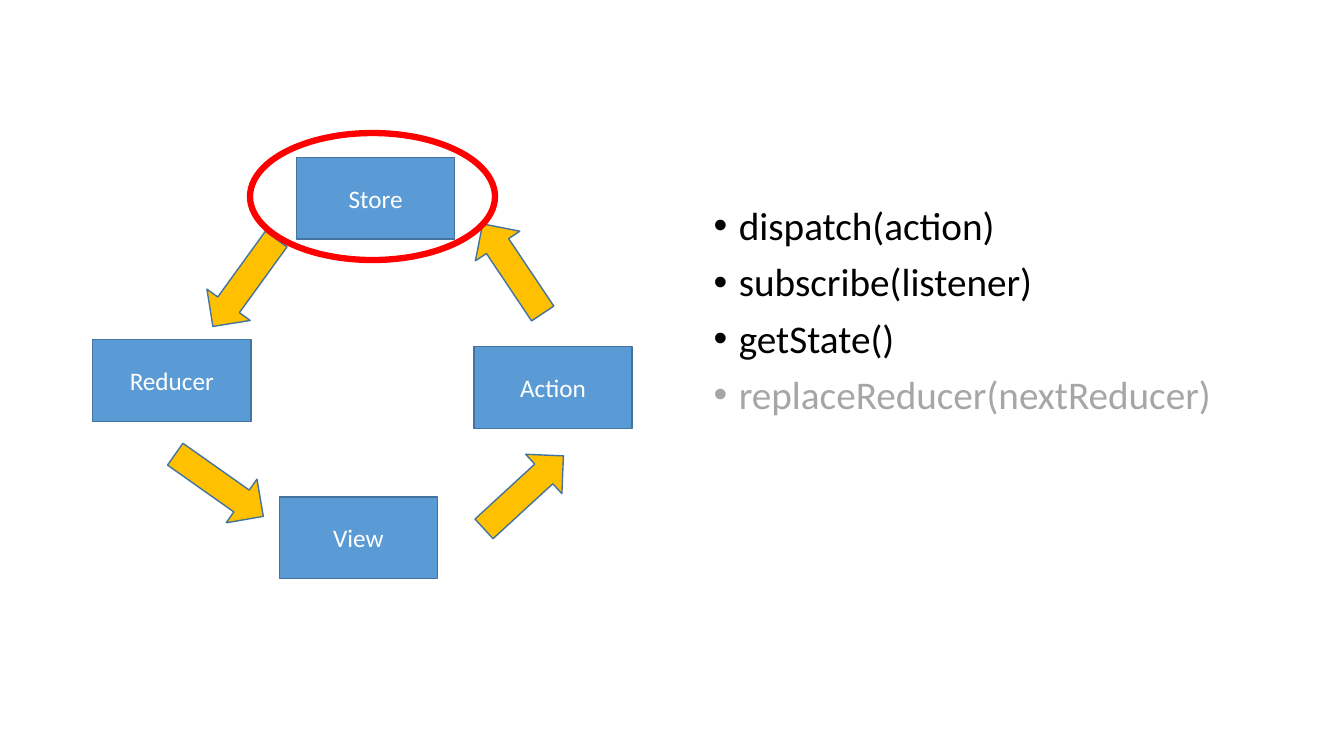
from pptx import Presentation
from pptx.dml.color import RGBColor
from pptx.enum.shapes import MSO_SHAPE as Shape
from pptx.enum.text import MSO_ANCHOR as Anchor, PP_ALIGN as Align
from pptx.oxml import parse_xml
from pptx.oxml.ns import nsdecls
from pptx.util import Inches, Pt


def color(hex_string):
    return RGBColor.from_string(hex_string)


def add_figure(kind, left, top, width, height, fill, line, line_width):
    shape = slide.shapes.add_shape(
        kind, Inches(left), Inches(top), Inches(width), Inches(height))
    shape.shadow.inherit = False
    if fill:
        shape.fill.solid()
        shape.fill.fore_color.rgb = color(fill)
    else:
        shape.fill.background()
    shape.line.color.rgb = color(line)
    shape.line.width = Pt(line_width)
    return shape


presentation = Presentation()
presentation.slide_width = Inches(13.33)
presentation.slide_height = Inches(7.5)
slide = presentation.slides.add_slide(presentation.slide_layouts[6])

methods = [
    ("dispatch(action)", "000000"),
    ("subscribe(listener)", "000000"),
    ("getState()", "000000"),
    ("replaceReducer(nextReducer)", "A6A6A6"),
]
method_box = slide.shapes.add_textbox(
    Inches(6.98), Inches(2), Inches(5.44), Inches(4.76))
method_frame = method_box.text_frame
method_frame.word_wrap = True
paragraph_format = {"line_spacing": 0.9, "space_before": Pt(10)}
for index, (method, text_color) in enumerate(methods):
    paragraph = method_frame.add_paragraph() if index else method_frame.paragraphs[0]
    for name, value in paragraph_format.items():
        setattr(paragraph, name, value)
    properties = paragraph._p.get_or_add_pPr()
    properties.set("marL", str(Inches(0.25)))
    properties.set("indent", str(Inches(-0.25)))
    properties.append(parse_xml(f'<a:buFont {nsdecls("a")} typeface="Arial"/>'))
    properties.append(parse_xml(f'<a:buChar {nsdecls("a")} char="•"/>'))
    run = paragraph.add_run()
    run.text = method
    for name, value in {"size": Pt(28), "name": "Calibri"}.items():
        setattr(run.font, name, value)
    run.font.color.rgb = color(text_color)

stages = [
    ("Store", 2.94, 1.56),
    ("View", 2.77, 4.93),
    ("Action", 4.7, 3.44),
    ("Reducer", 0.92, 3.37),
]
for label, left, top in stages:
    box = add_figure(Shape.RECTANGLE, left, top, 1.57, 0.81, "5B9BD5", "43739E", 1)
    box.text_frame.vertical_anchor = Anchor.MIDDLE
    paragraph = box.text_frame.paragraphs[0]
    paragraph.alignment = Align.CENTER
    run = paragraph.add_run()
    run.text = label
    for name, value in {"size": Pt(18), "name": "Calibri"}.items():
        setattr(run.font, name, value)
    run.font.color.rgb = color("FFFFFF")

flow_arrows = [
    (4.66, 4.62, 317.4),
    (4.55, 2.4, 236.2),
    (1.89, 2.54, 125.9),
    (1.64, 4.55, 35.2),
]
for left, top, rotation in flow_arrows:
    arrow = add_figure(Shape.RIGHT_ARROW, left, top, 1.07, 0.53, "FFC000", "43739E", 1)
    arrow.rotation = rotation

add_figure(Shape.OVAL, 2.48, 1.32, 2.43, 1.26, None, "FF0000", 4.5)

presentation.save("out.pptx")
